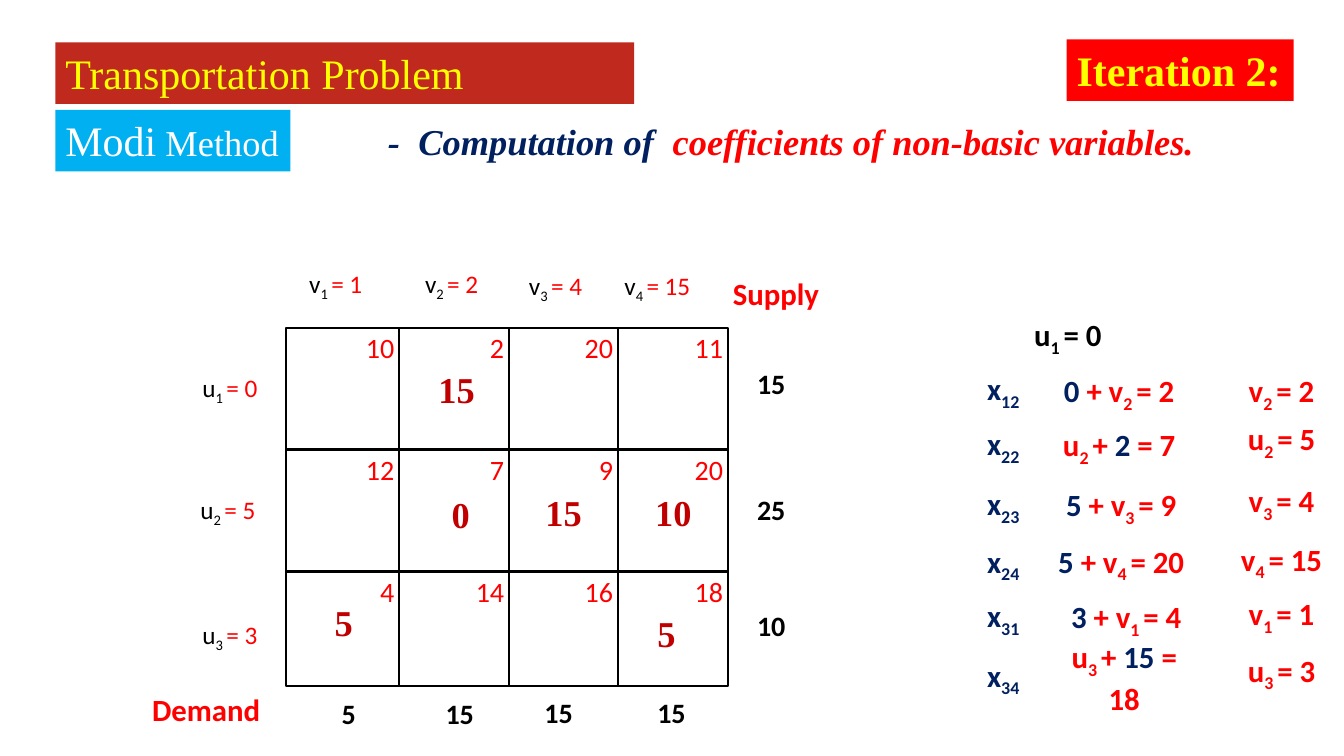
"""Build the slide on the second MODI iteration of a transportation problem."""
import pptx
import pptx.dml.color
import pptx.enum.shapes
import pptx.enum.text
import pptx.util

RGBColor = pptx.dml.color.RGBColor
Inches = pptx.util.Inches
BLACK = RGBColor(0x00, 0x00, 0x00)
WHITE = RGBColor(0xFF, 0xFF, 0xFF)
RED = RGBColor(0xFF, 0x00, 0x00)
DARK_RED = RGBColor(0xC0, 0x00, 0x00)
BRICK = RGBColor(0xC0, 0x2A, 0x1E)
YELLOW = RGBColor(0xFF, 0xFF, 0x00)
NAVY = RGBColor(0x00, 0x20, 0x60)
SKY = RGBColor(0x00, 0xB0, 0xF0)
SANS = "Calibri"
SERIF = "Times New Roman"

COLUMN_EDGES = [0, 1.12, 2.21, 3.29, 4.38]
ROW_EDGES = [0, 1.21, 2.42, 3.56]
COSTS = [[10, 2, 20, 11], [12, 7, 9, 20], [4, 14, 16, 18]]
ALLOCATIONS = [
    (1.69, 0.61, 15),
    (1.73, 1.85, 0),
    (2.75, 1.83, 15),
    (3.84, 1.83, 10),
    (0.57, 2.92, 5),
    (3.77, 3.03, 5),
]
SUPPLIES = [(0.55, 15), (1.8, 25), (2.95, 10)]
DEMANDS = [(0.62, 3.83, 5), (1.72, 3.83, 15), (2.7, 3.82, 15), (3.82, 3.82, 15)]
COLUMN_POTENTIALS = [(0.49, -0.42, 1), (1.64, -0.42, 2), (2.67, -0.4, 4), (3.68, -0.4, 15)]
ROW_POTENTIALS = [(-0.56, 0.61, 0), (-0.58, 1.82, 5), (-0.56, 3.06, 3)]

# Each row: cell index, row and equation offsets, known term, unknown, cost, result offset, result.
EQUATIONS = [
    ("12", 0, 1.48, 0.02, "0", "v2", 2, 0.02, 2),
    ("22", 0.54, 1.48, 0.55, "2", "u2", 7, 0.49, 5),
    ("23", 1.14, 1.5, 1.15, "5", "v3", 9, 1.11, 4),
    ("24", 1.71, 1.5, 1.71, "5", "v4", 20, 1.69, 15),
    ("31", 2.25, 1.55, 2.26, "3", "v1", 4, 2.23, 1),
    ("34", 2.84, 1.53, 2.84, "15", "u3", 18, 2.79, 3),
]


def add_text(slide, box, segments, size, font=SANS, bold=False, italic=False,
             fill=None, centred=True):
    """Place one line of (text, colour, subscript, size) segments in a box."""
    lengths = [Inches(value) for value in box]
    if fill is None:
        shape = slide.shapes.add_textbox(*lengths)
    else:
        shape = slide.shapes.add_shape(pptx.enum.shapes.MSO_SHAPE.RECTANGLE, *lengths)
        shape.shadow.inherit = False
        shape.fill.solid()
        shape.fill.fore_color.rgb = fill
        shape.line.fill.background()
    frame = shape.text_frame
    frame.word_wrap = True
    anchors = pptx.enum.text.MSO_ANCHOR
    frame.vertical_anchor = anchors.MIDDLE if centred else anchors.TOP
    paragraph = frame.paragraphs[0]
    alignments = pptx.enum.text.PP_ALIGN
    paragraph.alignment = alignments.CENTER if centred else alignments.LEFT
    paragraph.font.name = font
    paragraph.font.size = pptx.util.Pt(size)
    paragraph.font.bold = bold
    paragraph.font.italic = italic
    for text, colour, *options in segments:
        run = paragraph.add_run()
        run.text = text
        run.font.color.rgb = colour
        if "subscript" in options:
            run._r.get_or_add_rPr().set("baseline", "-25000")
        for option in options:
            if option != "subscript":
                run.font.size = pptx.util.Pt(option)


def centred_box(x, y, width, height):
    """Return the box of a given size around a centre."""
    return x - width / 2, y - height / 2, width, height


def variable(name, colour, gap=" "):
    """Return the segments of a variable with its subscript."""
    return [(name[0], colour), (name[1:] + gap, colour, "subscript")]


def add_header(slide, left, top):
    """Add the title, the iteration flag, the method tag and the subtitle."""
    add_text(slide, (left, top + 0.03, 5.74, 0.61), [("Transportation Problem", YELLOW)],
             30, SERIF, fill=BRICK, centred=False)
    add_text(slide, (left + 3.2, top + 0.74, 8.2, 0.54),
             [("-  Computation of ", NAVY), (" coefficients of non-basic variables.", RED)],
             26, SERIF, bold=True, italic=True, centred=False)
    add_text(slide, (left + 10.03, top, 2.25, 0.61), [("Iteration 2:", YELLOW)],
             30, SERIF, bold=True, fill=RED, centred=False)
    add_text(slide, (left, top + 0.7, 2.33, 0.61), [("Modi", WHITE), (" Method", WHITE, 26)],
             30, SERIF, fill=SKY, centred=False)


def add_grid(slide, left, top):
    """Add the bordered cells with a cost in each upper right corner."""
    for row, costs in enumerate(COSTS):
        for column, cost in enumerate(costs):
            x, right = COLUMN_EDGES[column:column + 2]
            y, bottom = ROW_EDGES[row:row + 2]
            cell = slide.shapes.add_shape(
                pptx.enum.shapes.MSO_SHAPE.RECTANGLE, Inches(left + x), Inches(top + y),
                Inches(right - x), Inches(bottom - y))
            cell.shadow.inherit = False
            cell.fill.solid()
            cell.fill.fore_color.rgb = WHITE
            cell.line.color.rgb = BLACK
            cell.line.width = pptx.util.Pt(1.5)
    for row, costs in enumerate(COSTS):
        for column, cost in enumerate(costs):
            inset = 0.12 if cost < 10 else 0.19
            box = centred_box(left + COLUMN_EDGES[column + 1] - inset,
                              top + ROW_EDGES[row] + 0.2, 0.55, 0.45)
            add_text(slide, box, [(str(cost), RED)], 20)


def add_tableau(slide, left, top):
    """Add the transportation tableau with potentials, supply and demand."""
    for name, potentials, width in (("v", COLUMN_POTENTIALS, 0.96), ("u", ROW_POTENTIALS, 0.8)):
        for index, (x, y, value) in enumerate(potentials, 1):
            segments = variable(f"{name}{index}", BLACK) + [(f"= {value}", RED)]
            add_text(slide, centred_box(left + x, top + y, width, 0.7), segments, 18, fill=WHITE)
    add_grid(slide, left, top)
    for x, y, amount in ALLOCATIONS:
        add_text(slide, centred_box(left + x, top + y, 0.7, 0.5), [(str(amount), DARK_RED)],
                 26, SERIF, bold=True)
    totals = [(4.81, y, amount) for y, amount in SUPPLIES] + DEMANDS
    for x, y, amount in totals:
        add_text(slide, centred_box(left + x, top + y, 0.54, 0.69), [(str(amount), BLACK)],
                 20, bold=True)
    for x, y, width, label in ((4.33, -0.57, 1.25, "Supply"), (-1.43, 3.55, 1.44, "Demand")):
        add_text(slide, (left + x, top + y, width, 0.47), [(label, RED)],
                 22, bold=True, centred=False)


def add_equations(slide, left, top):
    """Add the equations of the basic cells and the potentials they give."""
    add_text(slide, centred_box(left + 0.97, top - 0.54, 1.59, 0.69),
             variable("u1", BLACK) + [("= 0", BLACK)], 22, bold=True)
    for index, y, x, equation_y, known, unknown, cost, result_y, result in EQUATIONS:
        known_segment = (known + " ", NAVY)
        if unknown[0] == "v":
            segments = [known_segment, ("+ ", RED)] + variable(unknown, RED)
        else:
            segments = variable(unknown, RED) + [("+ ", RED), known_segment]
        segments.append((f"= {cost}", RED))
        add_text(slide, centred_box(left + x - 0.0, top + equation_y, 1.6, 0.69),
                 segments, 22, bold=True, fill=WHITE)
        add_text(slide, centred_box(left + 0.33, top + y, 0.64, 0.69),
                 variable("x" + index, NAVY, ""), 22, bold=True, fill=WHITE)
        add_text(slide, centred_box(left + 3.09, top + result_y, 1.17, 0.69),
                 variable(unknown, RED) + [(f"= {result}", RED)], 22, bold=True)


def main():
    """Build and save the presentation."""
    presentation = pptx.Presentation()
    presentation.slide_width = Inches(13.33)
    presentation.slide_height = Inches(7.5)
    slide = presentation.slides.add_slide(presentation.slide_layouts[6])
    add_tableau(slide, 2.84, 3.25)
    add_equations(slide, 9.62, 3.88)
    add_header(slide, 0.55, 0.39)
    presentation.save("out.pptx")


if __name__ == "__main__":
    main()
